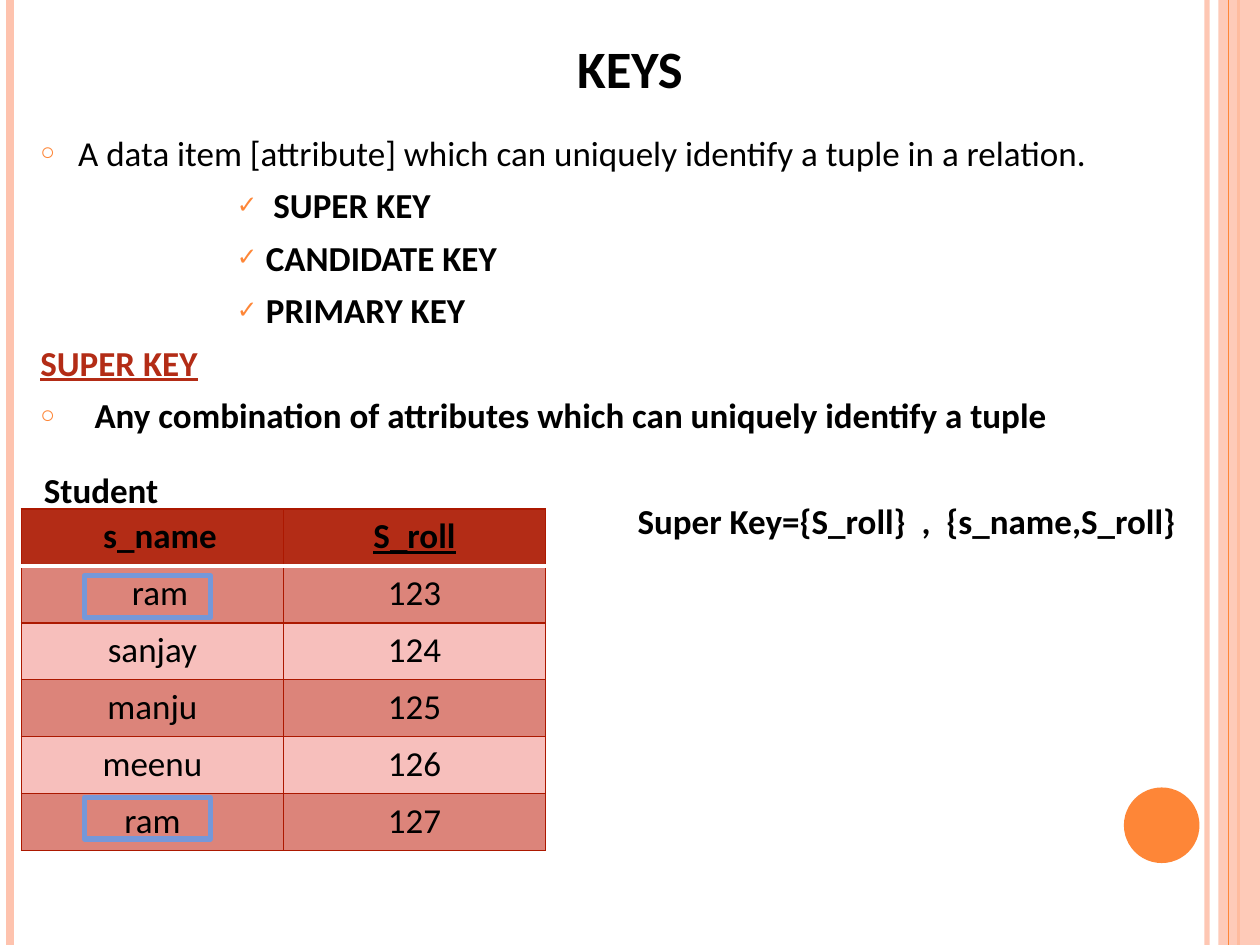
import pptx
import pptx.util
import pptx.dml.color
import pptx.enum.shapes
import pptx.enum.text
import pptx.oxml.ns
from lxml import etree

Inches, Pt = pptx.util.Inches, pptx.util.Pt
RGBColor = pptx.dml.color.RGBColor
qn = pptx.oxml.ns.qn
CENTER = pptx.enum.text.PP_ALIGN.CENTER
SHAPES = pptx.enum.shapes.MSO_SHAPE

BLACK = RGBColor(0x00, 0x00, 0x00)
WHITE = RGBColor(0xFF, 0xFF, 0xFF)
ORANGE = RGBColor(0xFE, 0x86, 0x37)
PEACH = RGBColor(0xFE, 0xC3, 0xAE)
BRICK = RGBColor(0xB3, 0x2C, 0x16)
BORDER = RGBColor(0xAC, 0x18, 0x00)
DARK_BAND = RGBColor(0xDC, 0x84, 0x7A)
LIGHT_BAND = RGBColor(0xF7, 0xBF, 0xBC)
BLUE = RGBColor(0x75, 0x98, 0xD9)


class SlideBuilder:
    """Holds the text style and the slide being filled."""

    font_name = "Calibri"
    text_size = 20

    def __init__(self, slide):
        self.slide = slide

    def style(self, paragraph, size=text_size, bold=False, color=BLACK, underline=False):
        for run in paragraph.runs:
            font = run.font
            font.name, font.size = self.font_name, Pt(size)
            font.bold, font.underline = bold, underline
            font.color.rgb = color

    def place(self, shape, left, top, width, height):
        shape.left, shape.top = Inches(left), Inches(top)
        shape.width, shape.height = Inches(width), Inches(height)
        frame = shape.text_frame
        frame.word_wrap = True
        frame.auto_size = pptx.enum.text.MSO_AUTO_SIZE.NONE
        frame.margin_left = frame.margin_right = Inches(0.08)
        frame.margin_top = frame.margin_bottom = Inches(0.04)
        return frame

    def set_alpha(self, shape, percent):
        color = shape._element.spPr.find(".//" + qn("a:srgbClr"))
        etree.SubElement(color, qn("a:alpha"), val=str(percent * 1000))

    def vertical_line(self, x, color, width, alpha=100):
        line = self.slide.shapes.add_connector(
            pptx.enum.shapes.MSO_CONNECTOR.STRAIGHT,
            Inches(x), 0, Inches(x), Inches(7.5))
        line.line.color.rgb, line.line.width = color, Pt(width)
        etree.SubElement(line._element.spPr, qn("a:effectLst"))
        if alpha < 100:
            self.set_alpha(line, alpha)

    def shape(self, kind, left, top, width, height, fill=None, outline=None, alpha=100):
        shape = self.slide.shapes.add_shape(
            kind, Inches(left), Inches(top), Inches(width), Inches(height))
        shape.shadow.inherit = False
        if fill is None:
            shape.fill.background()
        else:
            shape.fill.solid()
            shape.fill.fore_color.rgb = fill
        if outline is None:
            shape.line.fill.background()
        else:
            shape.line.color.rgb, shape.line.width = outline, Pt(3)
        if alpha < 100:
            self.set_alpha(shape, alpha)

    def title(self, text):
        frame = self.place(self.slide.shapes.title, 0.5, 0.05, 8.17, 0.78)
        frame.vertical_anchor = pptx.enum.text.MSO_ANCHOR.BOTTOM
        frame.text = text
        paragraph = frame.paragraphs[0]
        paragraph.alignment = CENTER
        paragraph._p.get_or_add_pPr().set("marL", str(Inches(0.83)))
        self.style(paragraph, 30, bold=True)

    def indent(self, paragraph, margin, hanging, bullet):
        properties = paragraph._p.get_or_add_pPr()
        properties.set("marL", str(Inches(margin)))
        properties.set("indent", str(-Inches(hanging)))
        if bullet:
            color = etree.SubElement(properties, qn("a:buClr"))
            etree.SubElement(color, qn("a:srgbClr"), val=str(ORANGE))
            etree.SubElement(properties, qn("a:buSzPct"), val="70000")
            etree.SubElement(properties, qn("a:buChar"), char=bullet)
        else:
            etree.SubElement(properties, qn("a:buNone"))

    def body(self, items):
        frame = self.place(self.slide.placeholders[1], 0.24, 1, 9.34, 5.36)
        frame.text = "\n".join(item[0] for item in items)
        for paragraph, item in zip(frame.paragraphs, items):
            _, bullet, margin, hanging, space, look = item
            paragraph.space_before = Pt(space)
            self.indent(paragraph, margin, hanging, bullet)
            self.style(paragraph, **look)

    def label(self, text, left, top, width, height):
        box = self.slide.shapes.add_textbox(
            Inches(left), Inches(top), Inches(width), Inches(height))
        frame = box.text_frame
        frame.word_wrap = True
        frame.text = text
        self.style(frame.paragraphs[0], bold=True)

    def cell_borders(self, cell, row):
        """Brick lines all round, with a white rule under the header."""
        white_side = {0: "lnB", 1: "lnT"}.get(row)
        properties = cell._tc.get_or_add_tcPr()
        for position, side in enumerate(("lnL", "lnR", "lnT", "lnB")):
            color, width = (WHITE, 3) if side == white_side else (BORDER, 1)
            line = etree.Element(qn("a:" + side), w=str(Pt(width)))
            fill = etree.SubElement(line, qn("a:solidFill"))
            etree.SubElement(fill, qn("a:srgbClr"), val=str(color))
            properties.insert(position, line)

    def table(self, rows, left, top, width, height, shifted, underlined):
        table = self.slide.shapes.add_table(
            len(rows), len(rows[0]), Inches(left), Inches(top),
            Inches(width), Inches(height)).table
        for row, values in enumerate(rows):
            for column, value in enumerate(values):
                cell = table.cell(row, column)
                cell.text = value
                cell.fill.solid()
                band = DARK_BAND if row % 2 else LIGHT_BAND
                cell.fill.fore_color.rgb = band if row else BRICK
                if (row, column) in shifted:
                    cell.margin_left = Inches(0.22)
                paragraph = cell.text_frame.paragraphs[0]
                paragraph.alignment = CENTER
                self.style(paragraph, bold=row == 0,
                           underline=(row, column) in underlined)
                self.cell_borders(cell, row)


def main():
    presentation = pptx.Presentation()
    presentation.slide_width, presentation.slide_height = Inches(10), Inches(7.5)
    builder = SlideBuilder(presentation.slides.add_slide(presentation.slide_layouts[1]))

    # Side stripes and corner dot
    builder.vertical_line(9.58, PEACH, 3, alpha=93)
    builder.vertical_line(0.08, PEACH, 4.5)
    builder.vertical_line(9.83, ORANGE, 1.5)
    builder.shape(SHAPES.RECTANGLE, 9.67, 0, 0.33, 7.5, fill=PEACH, alpha=87)
    builder.vertical_line(9.75, ORANGE, 0.75)
    builder.shape(SHAPES.OVAL, 8.92, 6.25, 0.6, 0.6, fill=ORANGE)

    # Title and list: text, bullet, margin, hanging, space before, look
    bold = {"bold": True}
    builder.title("KEYS")
    builder.body([
        ("A data item [attribute] which can uniquely identify a tuple in a relation.",
         "○", 0.3, 0.3, 0, {}),
        ("SUPER KEY", "✓", 1.85, 0.29, 6, bold),
        ("CANDIDATE KEY", "✓", 1.79, 0.23, 6, bold),
        ("PRIMARY KEY", "✓", 1.79, 0.23, 6, bold),
        ("SUPER KEY", None, 0.3, 0.3, 6,
         {"bold": True, "color": BRICK, "underline": True}),
        ("Any combination of attributes which can uniquely identify a tuple",
         "○", 0.43, 0.43, 6, bold),
        ("Super Key={S_roll}  ,  {s_name,S_roll}", None, 4.74, 0, 36.4, bold),
    ])

    # Student table
    names = ["ram", "sanjay", "manju", "meenu", "ram"]
    students = [(name, str(roll)) for roll, name in enumerate(names, 123)]
    builder.table([("s_name", "S_roll")] + students, 0.17, 4.04, 4.16, 2.71,
                  shifted={(0, 0), (1, 0)}, underlined={(0, 1)})
    builder.label("Student", 0.25, 3.67, 1.17, 0.44)

    # Frames around the repeated name
    for top in (4.57, 6.33):
        builder.shape(SHAPES.RECTANGLE, 0.67, top, 1, 0.33, outline=BLUE)

    presentation.save("out.pptx")


if __name__ == "__main__":
    main()
